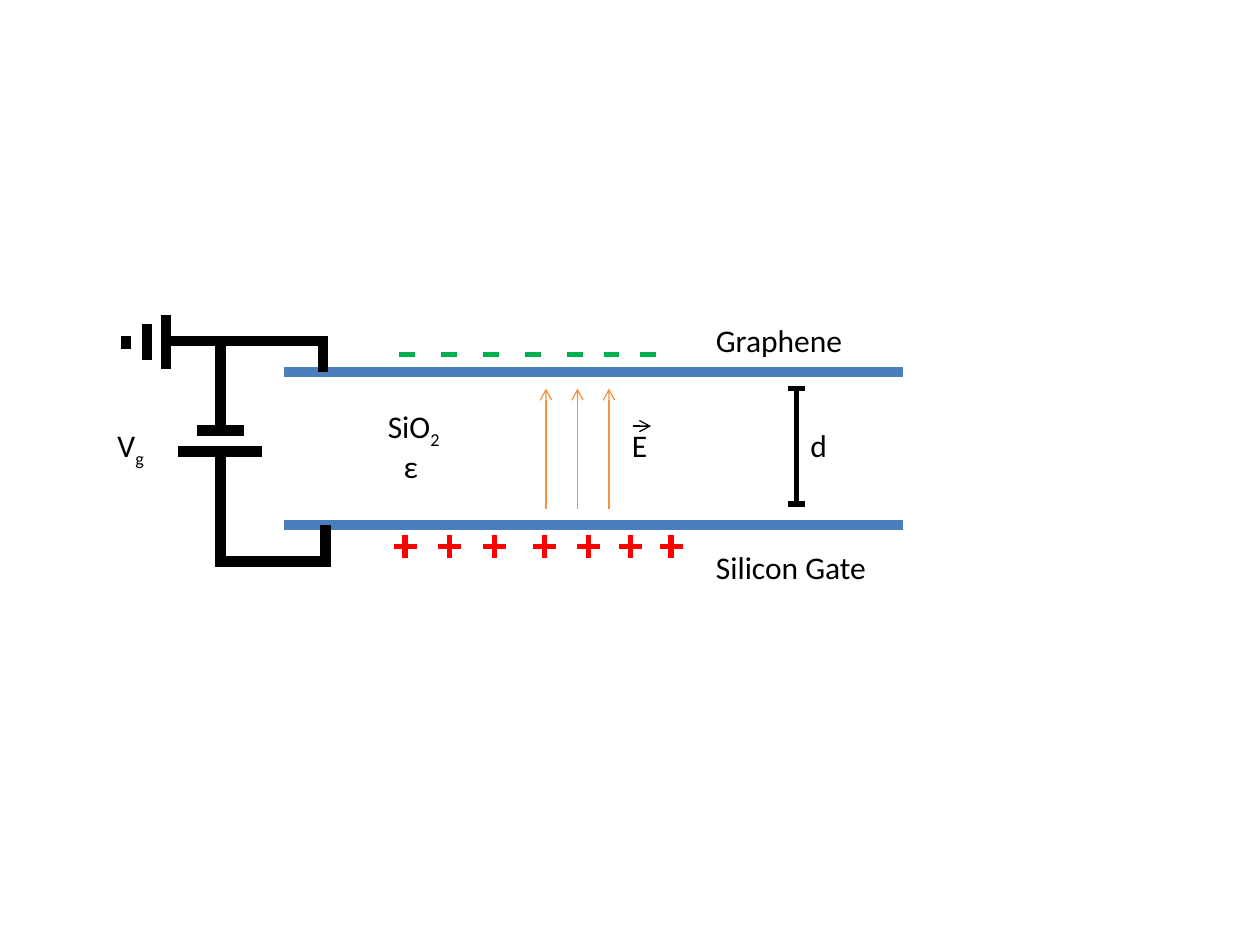
import pptx
import pptx.util
import pptx.dml.color
import pptx.enum.shapes
import pptx.enum.text
import pptx.oxml.ns
import lxml.etree
from dataclasses import dataclass

Pt = pptx.util.Pt


@dataclass(frozen=True)
class Theme:
    font: str = "Calibri"
    size: float = 18
    ink: str = "000000"
    plate: str = "4B7EBC"
    positive: str = "FF0000"
    negative: str = "00B050"
    field: str = "F69240"
    thick: float = 6
    medium: float = 3
    thin: float = 0.75


THEME = Theme()

# Content, in points
PLATE_LEFT, PLATE_RIGHT = 162, 516
PLATE_TOPS = [212.5, 300]
WIRES = [  # x1, y1, x2, y2
    (184.5, 212.5, 184.5, 192),  # graphene contact
    (96, 195, 186, 195),
    (126, 246, 126, 192),
    (112.5, 246, 139.5, 246),  # battery, short plate
    (102, 258, 150, 258),  # battery, long plate
    (126, 324, 126, 258),
    (126, 321, 184.5, 321),
    (186, 324, 186, 300),  # gate contact
]
GROUND_Y = 195.5
GROUND_BARS = [(95, 15.5), (84, 10.5), (72, 3.75)]  # x, half height

POSITIVE_CENTRES = [231.5, 257, 282.5, 311.25, 336.5, 360.5, 383.5]
POSITIVE_Y, POSITIVE_HALF = 312.5, 6.6
NEGATIVE_LEFTS = [228, 252, 276, 300, 324, 345, 366]
NEGATIVE_Y, NEGATIVE_WIDTH = 202.5, 9

FIELD_CENTRE, FIELD_GAP = 348, 18
FIELD_TOP, FIELD_BOTTOM = 222, 291
GAP_X, GAP_TOP, GAP_BOTTOM, GAP_HALF = 455, 222, 288, 5

LABEL_HEIGHT = 29
LABELS = [  # text, subscript, left, top, width
    ("SiO", "2", 214.5, 229, 45.5),
    ("V", "g", 60, 240, 29.5),
    ("Silicon Gate", "", 402, 309.5, 101.5),
    ("Graphene", "", 402, 180, 88),
    ("ε", "", 223.5, 252, 23),
    ("d", "", 456, 240, 24.5),
]


def add_text(shapes, text, left, top, width, subscript="", size=THEME.size, color=THEME.ink):
    box = shapes.add_textbox(Pt(left), Pt(top), Pt(width), Pt(LABEL_HEIGHT))
    box.text_frame.word_wrap = False
    box.text_frame.auto_size = pptx.enum.text.MSO_AUTO_SIZE.SHAPE_TO_FIT_TEXT
    paragraph = box.text_frame.paragraphs[0]
    for part, baseline in ((text, None), (subscript, "-25000")):
        if not part:
            continue
        run = paragraph.add_run()
        run.text = part
        run.font.name = THEME.font
        run.font.size = Pt(size)
        run.font.color.rgb = pptx.dml.color.RGBColor.from_string(color)
        if baseline:
            run._r.get_or_add_rPr().set("baseline", baseline)


def add_line(shapes, x1, y1, x2, y2, color=THEME.ink, weight=THEME.thick, arrow=False):
    connector = shapes.add_connector(
        pptx.enum.shapes.MSO_CONNECTOR.STRAIGHT, Pt(x1), Pt(y1), Pt(x2), Pt(y2))
    connector.line.width = Pt(weight)
    connector.line.color.rgb = pptx.dml.color.RGBColor.from_string(color)
    qn = pptx.oxml.ns.qn
    if arrow:
        outline = connector.line._get_or_add_ln()
        lxml.etree.SubElement(outline, qn("a:tailEnd"), type="arrow")
    lxml.etree.SubElement(connector._element.spPr, qn("a:effectLst"))


def build():
    presentation = pptx.Presentation()
    presentation.slide_width, presentation.slide_height = Pt(720), Pt(540)
    slide = presentation.slides.add_slide(presentation.slide_layouts[6])
    shapes = slide.shapes

    # Capacitor plates
    for y in PLATE_TOPS:
        add_line(shapes, PLATE_LEFT, y, PLATE_RIGHT, y, color=THEME.plate)

    # Gate circuit and ground symbol
    for wire in WIRES:
        add_line(shapes, *wire)
    for x, half in GROUND_BARS:
        add_line(shapes, x, GROUND_Y + half, x, GROUND_Y - half)

    # Charges on the two plates
    for x in POSITIVE_CENTRES:
        plus = shapes.add_group_shape().shapes
        for dx, dy in ((POSITIVE_HALF, 0), (0, POSITIVE_HALF)):
            add_line(plus, x - dx, POSITIVE_Y + dy, x + dx, POSITIVE_Y - dy,
                     color=THEME.positive, weight=THEME.medium)
    for x in NEGATIVE_LEFTS:
        add_line(shapes, x, NEGATIVE_Y, x + NEGATIVE_WIDTH, NEGATIVE_Y,
                 color=THEME.negative, weight=THEME.medium)

    # Electric field and its vector label
    for step in (-2, -1, 0):
        x = FIELD_CENTRE - FIELD_GAP + (step + 1) * FIELD_GAP
        add_line(shapes, x, FIELD_BOTTOM, x, FIELD_TOP,
                 color=THEME.field, weight=THEME.thin, arrow=True)
    vector = shapes.add_group_shape().shapes
    add_text(vector, "E", 354, 240, 23)
    add_line(vector, 361.5, 243.5, 372, 243.5, weight=THEME.thin, arrow=True)

    # Plate separation marker
    marker = shapes.add_group_shape().shapes
    for y in (GAP_BOTTOM, GAP_TOP):
        add_line(marker, GAP_X - GAP_HALF, y, GAP_X + GAP_HALF, y, weight=THEME.medium)
    add_line(marker, GAP_X, GAP_BOTTOM, GAP_X, GAP_TOP, weight=THEME.medium)

    # Labels
    for text, subscript, left, top, width in LABELS:
        add_text(shapes, text, left, top, width, subscript=subscript)

    presentation.save("out.pptx")


if __name__ == "__main__":
    build()
